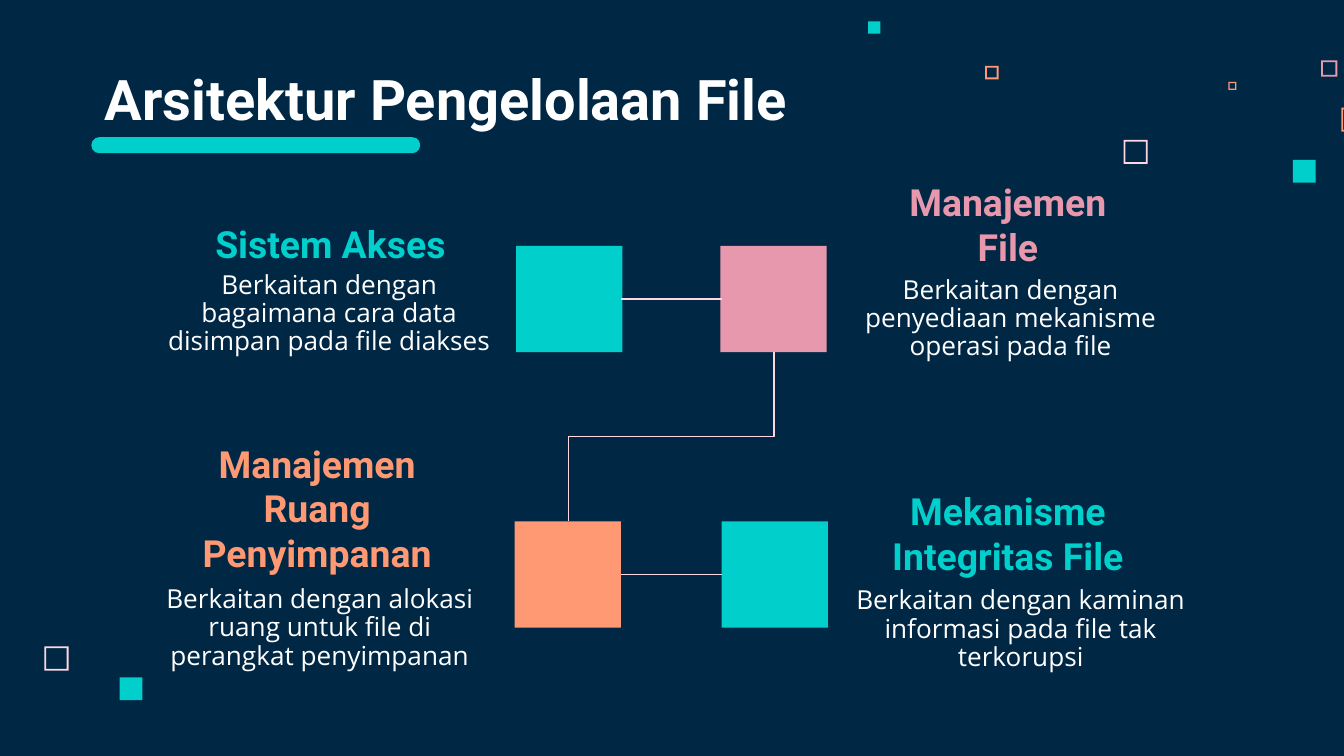
from lxml.etree import SubElement
from pptx import Presentation
from pptx.dml.color import RGBColor
from pptx.enum.shapes import MSO_CONNECTOR, MSO_SHAPE
from pptx.enum.text import MSO_ANCHOR, MSO_AUTO_SIZE, PP_ALIGN
from pptx.oxml.ns import qn
from pptx.util import Inches, Pt

HUES = {"navy": "002845", "teal": "00CFCC", "rose": "E898AC",
        "peach": "FF9973", "blush": "FFD6E1", "white": "FFFFFF"}
COLS, ROWS = 100, 56.25
CELL = Inches(0.1)

DOTS = [
    (83.6, 10.4, 1.8, "blush", True), (98.3, 4.5, 1.2, "rose", True),
    (91.4, 6.1, 0.6, "peach", True), (99.8, 8, 1.8, "peach", True),
    (96.2, 11.9, 1.7, "teal", False), (73.3, 4.9, 1, "peach", True),
    (64.6, 1.6, 0.9, "teal", False), (3.3, 48.1, 1.8, "blush", True),
    (8.9, 50.4, 1.7, "teal", False),
]

TOPICS = [
    ("Sistem Akses", "teal", (10, 13), (4.3, 0.7, 20.6), (1.1, 6.2, 26.8),
     "Berkaitan dengan bagaimana cara data disimpan pada file diakses"),
    ("Manajemen File", "rose", (62, 13), (2.7, 0.9, 20.6), (0.7, 6.6, 25),
     "Berkaitan dengan penyediaan mekanisme operasi pada file"),
    ("Manajemen Ruang Penyimpanan", "peach", (10, 36), (1.5, 0.7, 24.2), (0.4, 6.6, 26.8),
     "Berkaitan dengan alokasi ruang untuk file di perangkat penyimpanan"),
    ("Mekanisme Integritas File", "teal", (62, 36), (2.7, 0.9, 20.6), (0.6, 6.7, 26.7),
     "Berkaitan dengan kaminan informasi pada file tak terkorupsi"),
]


def span(*cells):
    """Turn grid cells into lengths."""
    return [round(n * CELL) for n in cells]


def tint(name):
    """Look up a colour by name."""
    return RGBColor.from_string(HUES[name])


def block(slide, kind, box, hue):
    """Add a plain filled shape."""
    shape = slide.shapes.add_shape(kind, *span(*box))
    shape.shadow.inherit = False
    shape.fill.solid()
    shape.fill.fore_color.rgb = tint(hue)
    shape.line.fill.background()
    return shape


def write(shape, text, font, size, hue, bold=False, align=PP_ALIGN.CENTER,
          anchor=MSO_ANCHOR.BOTTOM, pitch=1.0):
    """Fill a text shape with one styled run."""
    frame = shape.text_frame
    frame.word_wrap = True
    frame.auto_size = MSO_AUTO_SIZE.NONE
    frame.vertical_anchor = anchor
    frame.margin_left = frame.margin_right = CELL
    frame.margin_top = frame.margin_bottom = CELL
    para = frame.paragraphs[0]
    para.alignment = align
    para.line_spacing = pitch
    run = para.add_run()
    run.text = text
    run.font.name = font
    run.font.size = Pt(size)
    run.font.bold = bold
    run.font.color.rgb = tint(hue)


def link(slide, kind, ends, turn=0):
    """Join two grid points, turned by whole degrees."""
    line = slide.shapes.add_connector(kind, *span(*ends))
    line.line.color.rgb = tint("blush")
    line.line.width = Pt(0.75)
    props = line._element.spPr
    SubElement(props, qn("a:effectLst"))
    if turn:
        props.find(qn("a:xfrm")).set("rot", str(turn * 60000))


def decor(slide):
    """Scatter the small squares."""
    for x, y, size, hue, open_ in DOTS:
        kind = MSO_SHAPE.FRAME if open_ else MSO_SHAPE.RECTANGLE
        shape = block(slide, kind, (x, y, size, size), hue)
        if open_:
            shape.adjustments[0] = min(0.15, 0.13 / size)


def header(slide, box):
    """Place the title and the bar below it."""
    x, y, wide, high = box
    title = slide.shapes.title
    title.left, title.top, title.width, title.height = span(x, y, wide, high)
    write(title, "Arsitektur Pengelolaan File", "Roboto", 30, "white", True, PP_ALIGN.LEFT)
    bar = block(slide, MSO_SHAPE.ROUNDED_RECTANGLE, (x, y + 5.7, wide * 0.38, 1.2), "teal")
    bar.adjustments[0] = 0.5


def topic(slide, spot, name, hue, head, note, text):
    """Place a heading and its note from a corner."""
    parts = [(head, name, "Roboto", 20, hue, True, MSO_ANCHOR.BOTTOM, 1.0),
             (note, text, "Open Sans", 14, "white", False, MSO_ANCHOR.TOP, 0.9)]
    for (dx, dy, wide), words, font, size, shade, bold, anchor, pitch in parts:
        box = slide.shapes.add_textbox(*span(spot[0] + dx, spot[1] + dy, wide, 7.1))
        write(box, words, font, size, shade, bold, anchor=anchor, pitch=pitch)


def chain(slide, box):
    """Draw four squares and the path that joins them."""
    x, y, wide, high = box
    side = 7.9
    right, low, half = x + wide - side, y + high - side, side / 2
    spots = [(x + 0.1, y, "teal"), (right - 0.1, y, "rose"),
             (x, low, "peach"), (right, low, "teal")]
    for left, top, hue in spots:
        block(slide, MSO_SHAPE.RECTANGLE, (left, top, side, side), hue)
    for top in (y, low):
        link(slide, MSO_CONNECTOR.STRAIGHT, (x + side, top + half, right, top + half))
    run, drop = right - x - 0.1, low - y - side
    mid_x, mid_y = x + wide / 2, y + high / 2
    link(slide, MSO_CONNECTOR.ELBOW,
         (mid_x - drop / 2, mid_y - run / 2, mid_x + drop / 2, mid_y + run / 2), 90)


def main():
    """Build and save the slide."""
    deck = Presentation()
    deck.slide_width, deck.slide_height = span(COLS, ROWS)
    slide = deck.slides.add_slide(deck.slide_layouts[5])
    slide.background.fill.solid()
    slide.background.fill.fore_color.rgb = tint("navy")
    decor(slide)
    header(slide, (6.8, 4.5, 64.4, 6.3))
    for name, hue, spot, head, note, text in TOPICS:
        topic(slide, spot, name, hue, head, note, text)
    chain(slide, (38.3, 18.3, 23.3, 28.4))
    deck.save("out.pptx")


if __name__ == "__main__":
    main()
